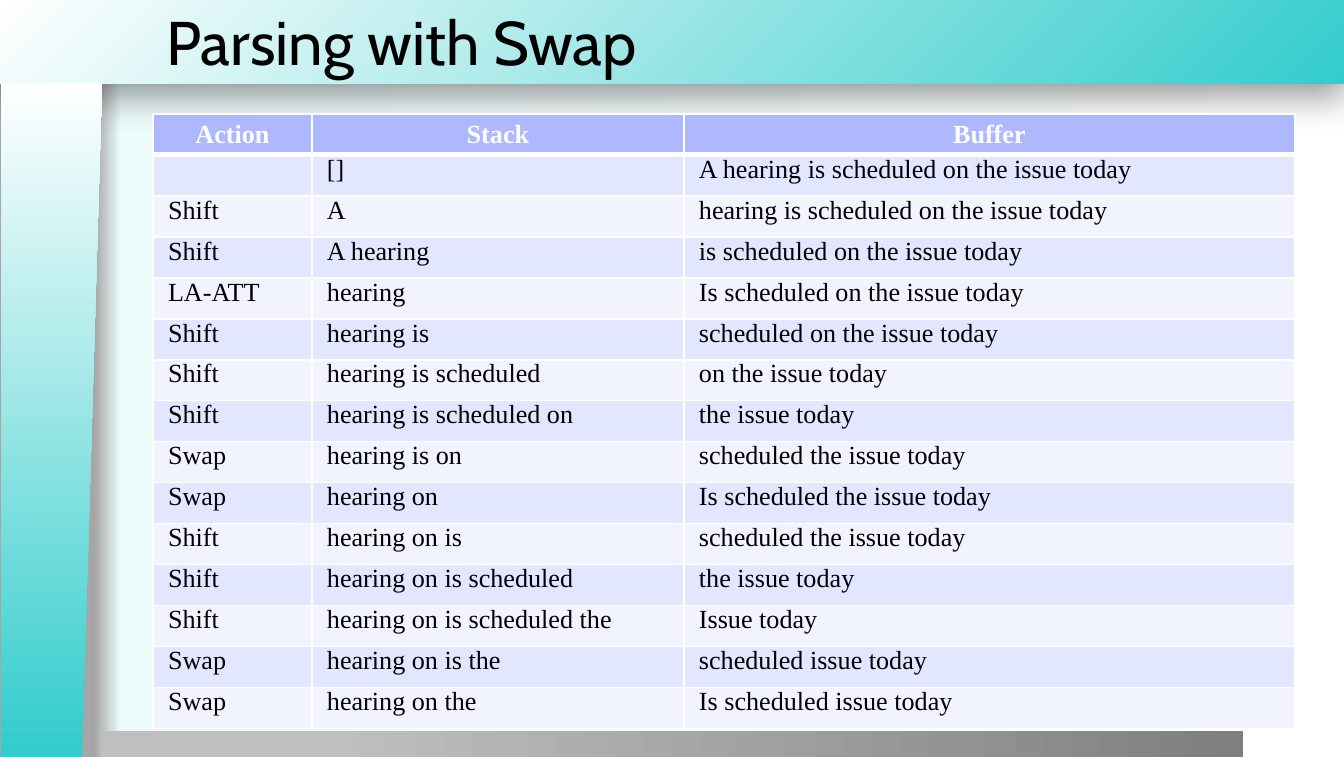
import lxml.etree
import pptx
import pptx.dml.color
import pptx.enum.shapes
import pptx.enum.text
import pptx.oxml.ns
import pptx.util

EMU_PER_PX = 914400 / 134.4
WHITE, BLACK, TEAL = "FFFFFF", "000000", "34CCCC"
HEADER_FILL, BAND_FILLS = "ADB8FF", ("E3E6FF", "F1F3FF")
COLUMN_WIDTHS = (159, 372, 611)
ROW_HEIGHT = 41
HEADINGS = ("Action", "Stack", "Buffer")
STEPS = (
    ("", "[]", "A hearing is scheduled on the issue today"),
    ("Shift", "A", "hearing is scheduled on the issue today"),
    ("Shift", "A hearing", "is scheduled on the issue today"),
    ("LA-ATT", "hearing", "Is scheduled on the issue today"),
    ("Shift", "hearing is", "scheduled on the issue today"),
    ("Shift", "hearing is scheduled", "on the issue today"),
    ("Shift", "hearing is scheduled on", "the issue today"),
    ("Swap", "hearing is on", "scheduled the issue today"),
    ("Swap", "hearing on", "Is scheduled the issue today"),
    ("Shift", "hearing on is", "scheduled the issue today"),
    ("Shift", "hearing on is scheduled", "the issue today"),
    ("Shift", "hearing on is scheduled the", "Issue today"),
    ("Swap", "hearing on is the", "scheduled issue today"),
    ("Swap", "hearing on the", "Is scheduled issue today"),
)


def px(length):
    return pptx.util.Emu(round(length * EMU_PER_PX))


def rgb(colour):
    return pptx.dml.color.RGBColor.from_string(colour)


def add_child(parent, tag, **attributes):
    child = lxml.etree.SubElement(parent, pptx.oxml.ns.qn(tag))
    for name, value in attributes.items():
        child.set(name, str(value))
    return child


def add_colour(parent, colour):
    return add_child(parent, "a:srgbClr", val=rgb(colour))


def set_gradient(fill, properties, stops, from_corner=False):
    fill.solid()
    solid = properties.find(pptx.oxml.ns.qn("a:solidFill"))
    gradient = add_child(properties, "a:gradFill", rotWithShape=1)
    properties.replace(solid, gradient)
    stop_list = add_child(gradient, "a:gsLst")
    for position, colour in stops:
        add_colour(add_child(stop_list, "a:gs", pos=position * 1000), colour)
    if from_corner:
        corner = add_child(gradient, "a:path", path="circle")
        add_child(corner, "a:fillToRect", l=100000, t=100000)
    else:
        add_child(gradient, "a:lin", ang=0, scaled=0)


def add_panel(slide, preset, box, stops, from_corner=False):
    panel = slide.shapes.add_shape(preset, *map(px, box))
    panel.line.fill.background()
    panel.shadow.inherit = False
    set_gradient(panel.fill, panel._element.spPr, stops, from_corner)
    return panel


def add_drop_shadow(panel):
    effects = panel._element.spPr.find(pptx.oxml.ns.qn("a:effectLst"))
    shadow = add_child(effects, "a:outerShdw", blurRad=pptx.util.Pt(20),
                       dist=pptx.util.Pt(6), dir=90 * 60000, rotWithShape=0)
    add_child(add_colour(shadow, BLACK), "a:alpha", val=40000)


def add_background(slide):
    set_gradient(slide.background.fill, slide._element.cSld.bg.bgPr,
                 ((7, "A6A6A6"), (9, "EDFBFB"), (100, WHITE)))
    presets = pptx.enum.shapes.MSO_SHAPE
    banner = add_panel(slide, presets.RECTANGLE, (-1, 0, 1345, 84),
                       ((0, TEAL), (100, WHITE)), from_corner=True)
    add_drop_shadow(banner)
    add_panel(slide, presets.RECTANGLE, (101, 731, 1142, 27),
              ((20, "BFBFBF"), (100, "7F7F7F")))
    sidebar = add_panel(slide, presets.FLOWCHART_MANUAL_INPUT,
                        (-286, 370, 675, 101), ((1, TEAL), (100, WHITE)))
    sidebar.rotation = 270
    sidebar._element.spPr.xfrm.set("flipV", "1")


def style_paragraph(paragraph, typeface, size, colour, bold=False):
    font = paragraph.font
    font.name, font.size, font.bold = typeface, pptx.util.Pt(size), bold
    font.color.rgb = rgb(colour)


def set_title(slide, text):
    title = slide.shapes.title
    title.left, title.top, title.width, title.height = map(px, (153, 0, 1090, 82))
    frame = title.text_frame
    frame.text = text
    frame.auto_size = pptx.enum.text.MSO_AUTO_SIZE.NONE
    frame.vertical_anchor = pptx.enum.text.MSO_ANCHOR.MIDDLE
    paragraph = frame.paragraphs[0]
    paragraph.alignment = pptx.enum.text.PP_ALIGN.LEFT
    style_paragraph(paragraph, "Cabin", 33, BLACK)
    slide.shapes._spTree.append(title._element)


def set_borders(cell, top, bottom):
    properties = cell._tc.get_or_add_tcPr()
    for side, width in (("L", 1), ("R", 1), ("T", top), ("B", bottom)):
        line = add_child(properties, f"a:ln{side}", w=pptx.util.Pt(width))
        add_colour(add_child(line, "a:solidFill"), WHITE)


def fill_cell(cell, text, row):
    header = row == 0
    cell.text = text
    cell.margin_left = cell.margin_right = px(15)
    cell.margin_top = cell.margin_bottom = 0
    set_borders(cell, top=3 if row == 1 else 1, bottom=3 if header else 1)
    cell.fill.solid()
    cell.fill.fore_color.rgb = rgb(HEADER_FILL if header else BAND_FILLS[(row - 1) % 2])
    paragraph = cell.text_frame.paragraphs[0]
    style_paragraph(paragraph, "Times New Roman", 14, WHITE if header else BLACK, header)
    if header:
        cell.vertical_anchor = pptx.enum.text.MSO_ANCHOR.MIDDLE
        paragraph.alignment = pptx.enum.text.PP_ALIGN.CENTER


def add_transitions(slide):
    rows = (HEADINGS, *STEPS)
    box = (153, 114, sum(COLUMN_WIDTHS), ROW_HEIGHT * len(rows))
    transitions = slide.shapes.add_table(
        len(rows), len(HEADINGS), *map(px, box)).table
    for column, width in zip(transitions.columns, COLUMN_WIDTHS):
        column.width = px(width)
    for row, texts in enumerate(rows):
        transitions.rows[row].height = px(ROW_HEIGHT)
        for column, text in enumerate(texts):
            fill_cell(transitions.cell(row, column), text, row)


def main():
    presentation = pptx.Presentation()
    presentation.slide_width, presentation.slide_height = px(1344), px(757)
    slide = presentation.slides.add_slide(presentation.slide_layouts[5])
    add_background(slide)
    set_title(slide, "Parsing with Swap")
    add_transitions(slide)
    presentation.save("out.pptx")


if __name__ == "__main__":
    main()
